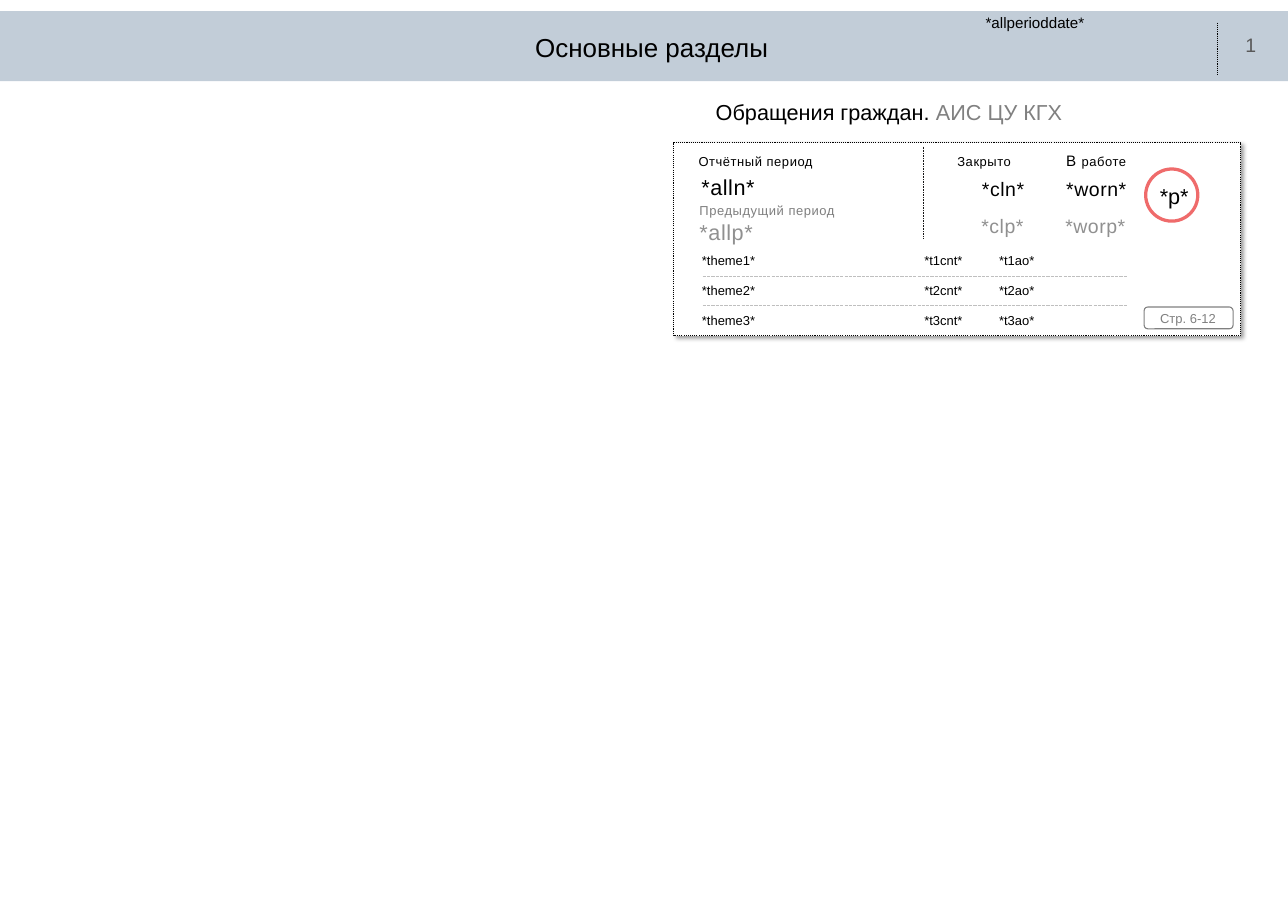
from lxml import etree
from pptx import Presentation
from pptx.dml.color import RGBColor
from pptx.enum import dml, shapes, text
from pptx.oxml import parse_xml
from pptx.oxml.ns import nsdecls, qn
from pptx.util import Cm, Pt

BLACK, GREY, PALE, RULE = "000000", "808080", "909090", "BFBFBF"
L, C, R = text.PP_ALIGN.LEFT, text.PP_ALIGN.CENTER, text.PP_ALIGN.RIGHT
TOP, MIDDLE = text.MSO_ANCHOR.TOP, text.MSO_ANCHOR.MIDDLE
DOT = dml.MSO_LINE.ROUND_DOT
DASH = dml.MSO_LINE.SQUARE_DOT
PLAIN = (0.25, 0.13, 0.25, 0.13)
NONE = (0, 0, 0, 0)
EVEN = (0.36,) * 4


def rgb(value):
    """Turn a hex string into a colour."""
    return RGBColor.from_string(value)


def write(tf, *runs, size=12, color=BLACK, align=L, anchor=TOP, ins=PLAIN,
          spacing=None, tracking=None):
    """Fill a text frame with one paragraph of (text, overrides) runs."""
    tf.word_wrap = True
    tf.auto_size = text.MSO_AUTO_SIZE.NONE
    tf.vertical_anchor = anchor
    tf.margin_left, tf.margin_top, tf.margin_right, tf.margin_bottom = map(Cm, ins)
    p = tf.paragraphs[0]
    p.alignment = align
    if spacing:
        p.line_spacing = spacing
    for words, own in runs:
        r = p.add_run()
        r.text = words
        r.font.name = "Arial"
        r.font.size = Pt(own.get("size", size))
        r.font.color.rgb = rgb(own.get("color", color))
        if tracking:
            r._r.get_or_add_rPr().set("spc", str(tracking))


def label(s, words, box, **fmt):
    """Add a text box holding a string or a list of runs."""
    runs = [(words, {})] if isinstance(words, str) else words
    write(s.shapes.add_textbox(*map(Cm, box)).text_frame, *runs, **fmt)


def stat(s, words, box, **fmt):
    """Add a letter-spaced caption or figure of the card."""
    label(s, words, box, ins=(0, 0.51, 0, 0), spacing=0.8, tracking=50, **fmt)


def shape(s, kind, box, fill=None, line=None, width=1, dash=None):
    """Add a preset shape without a shadow."""
    sp = s.shapes.add_shape(kind, *map(Cm, box))
    sp.shadow.inherit = False
    if fill:
        sp.fill.solid()
        sp.fill.fore_color.rgb = rgb(fill)
    else:
        sp.fill.background()
    if line:
        sp.line.color.rgb = rgb(line)
        sp.line.width = Pt(width)
        sp.line.dash_style = dash
    else:
        sp.line.fill.background()
    return sp


def rule(s, x1, y1, x2, y2, color, dash):
    """Add a thin dashed line."""
    cx = s.shapes.add_connector(shapes.MSO_CONNECTOR.STRAIGHT, *map(Cm, (x1, y1, x2, y2)))
    cx.line.color.rgb = rgb(color)
    cx.line.width = Pt(1)
    cx.line.dash_style = dash
    etree.SubElement(cx._element.spPr, qn("a:effectLst"))


def drop_shadow(sp):
    """Give a shape a soft shadow to the lower right."""
    effects = sp._element.spPr.find(qn("a:effectLst"))
    effects.append(parse_xml(
        f'<a:outerShdw {nsdecls("a")} blurRad="{Pt(4)}" dist="{Pt(3)}" dir="2700000" '
        'algn="tl" rotWithShape="0"><a:srgbClr val="000000"><a:alpha val="40000"/>'
        '</a:srgbClr></a:outerShdw>'))


def divider_table(s, box):
    """Add a one-cell table whose right border divides the card."""
    table = s.shapes.add_table(1, 1, *map(Cm, box)).table
    table.first_row = table.horz_banding = False
    cell = table.cell(0, 0)
    tcPr = cell._tc.get_or_add_tcPr()
    for side in ("lnL", "lnT", "lnB"):
        etree.SubElement(tcPr, qn(f"a:{side}"), w="0").append(
            parse_xml(f'<a:noFill {nsdecls("a")}/>'))
    tcPr.insert(1, parse_xml(
        f'<a:lnR {nsdecls("a")} w="{Pt(1)}"><a:solidFill><a:srgbClr val="181717"/>'
        '</a:solidFill><a:prstDash val="sysDot"/></a:lnR>'))
    cell.fill.background()


def header(s):
    """Build the band with the title, the period and the page number."""
    title = s.shapes.title
    band = shape(s, shapes.MSO_SHAPE.RECTANGLE, (0, 0.36, 42, 2.29), fill="C2CDD8")
    title.element.addprevious(band.element)
    title.left, title.top, title.width, title.height = map(Cm, (17.09, 0.58, 10.29, 1.93))
    write(title.text_frame, ("Основные разделы", {}), size=24, anchor=MIDDLE, ins=EVEN)
    rule(s, 39.7, 0.74, 39.7, 2.46, BLACK, DOT)
    label(s, "1", (39.7, 0.84, 2.18, 1.3), size=18, color="595959", align=C, ins=(0.25,) * 4)
    label(s, "*allperioddate*", (31.78, 0.18, 7.06, 1.12), size=14, anchor=MIDDLE, ins=EVEN)


def figures(s):
    """Build the captions and counts for both periods."""
    stat(s, "Отчётный период", (22.78, 4.6, 4.29, 0.91))
    stat(s, "*alln*", (22.87, 5.31, 3.6, 1.19), size=20)
    stat(s, "Предыдущий период", (22.81, 6.2, 4.98, 0.91), color="7F7F7F")
    stat(s, "*allp*", (22.81, 6.78, 3.38, 1.19), size=20, color=PALE)
    stat(s, "Закрыто", (31.22, 4.6, 4.29, 0.91))
    stat(s, [("В ", {"size": 14}), ("работе", {})], (34.77, 4.55, 4.29, 0.99))
    for words, box, color in (
            ("*cln*", (30.35, 5.41, 3.05, 1.12), BLACK),
            ("*worn*", (34.01, 5.41, 2.72, 1.12), BLACK),
            ("*clp*", (30.89, 6.6, 2.49, 1.12), PALE),
            ("*worp*", (34.39, 6.6, 2.31, 1.12), PALE)):
        stat(s, words, box, size=18, color=color, align=R)
    label(s, "*p*", (36.93, 5.84, 2.72, 1.24), size=20, align=C)
    shape(s, shapes.MSO_SHAPE.OVAL, (37.36, 5.51, 1.7, 1.7), line="EF6B6B", width=3)


def themes(s):
    """Build the three theme rows and the rules between them."""
    for i in range(3):
        y, n = 8 + 0.98 * i, i + 1
        label(s, f"*theme{n}*", (22.89, y, 6.86, 0.99), anchor=MIDDLE, ins=NONE)
        label(s, f"*t{n}cnt*", (29.82, y, 1.57, 0.99), align=R, anchor=MIDDLE, ins=NONE)
        label(s, f"*t{n}ao*", (32.33, y, 7.01, 0.99), anchor=MIDDLE)
    for y in (9.02, 9.97):
        rule(s, 22.92, y, 36.74, y, RULE, DASH)


def main():
    """Build and save the slide."""
    prs = Presentation()
    prs.slide_width, prs.slide_height = Cm(42), Cm(29.7)
    s = prs.slides.add_slide(prs.slide_layouts[5])
    header(s)
    label(s, [("Обращения граждан. ", {}), ("АИС ЦУ КГХ", {"color": GREY})],
          (23.09, 3.1, 11.99, 1.12), size=20)
    card = shape(s, shapes.MSO_SHAPE.RECTANGLE, (21.97, 4.65, 18.49, 6.3),
                 fill="FFFFFF", line=BLACK, dash=DOT)
    drop_shadow(card)
    divider_table(s, (29.34, 4.78, 0.76, 3))
    figures(s)
    themes(s)
    shape(s, shapes.MSO_SHAPE.ROUNDED_RECTANGLE, (37.31, 10.01, 2.9, 0.71), line=GREY)
    label(s, "Стр. 6-12", (36.91, 9.98, 3.66, 0.76), color=GREY, align=C)
    prs.save("out.pptx")


if __name__ == "__main__":
    main()
